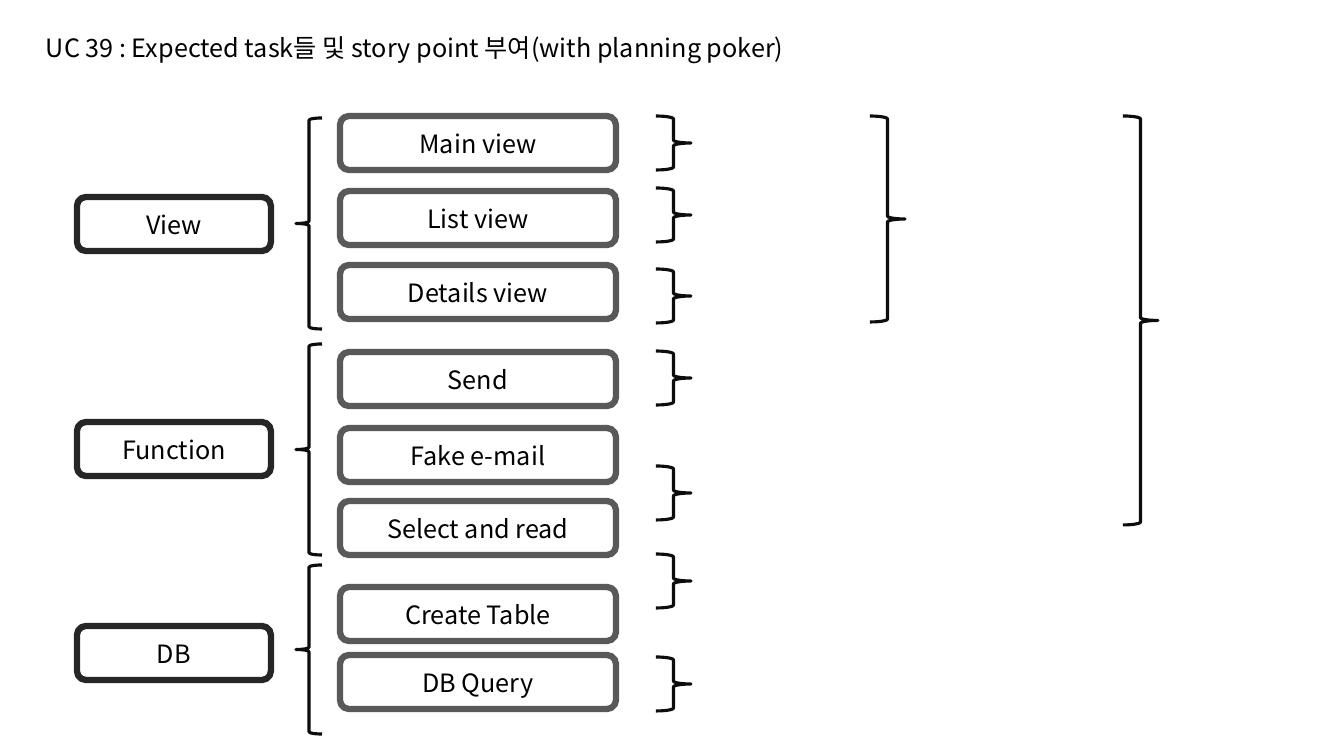
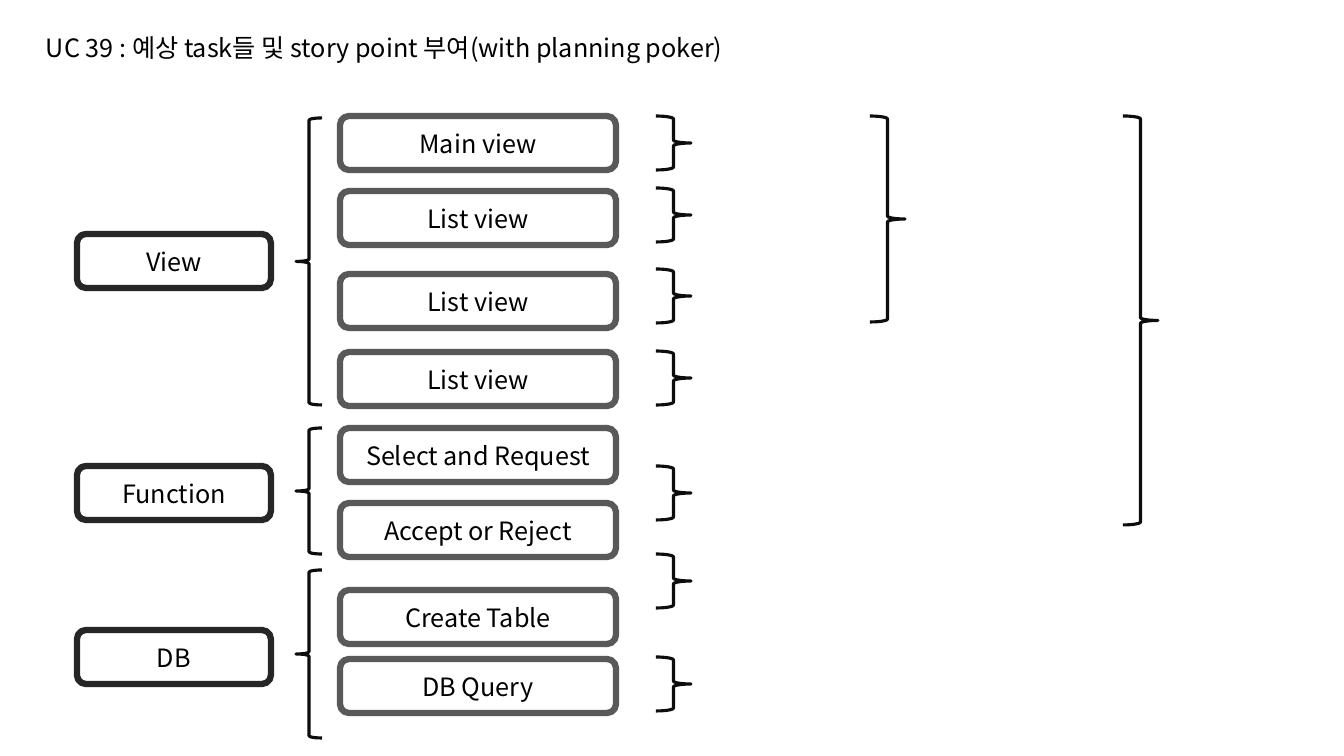
from lxml import etree
from pptx import Presentation
from pptx import util as u
from pptx.dml.color import RGBColor
from pptx.enum import shapes, text
from pptx.oxml.ns import qn

SCALE = 914400 / 100.8
BLACK = RGBColor(0x00, 0x00, 0x00)
GROUP_LINE = RGBColor(0x26, 0x26, 0x26)
TASK_LINE = RGBColor(0x59, 0x59, 0x59)
BRACE_LINE = RGBColor(0x0D, 0x0D, 0x0D)
FONT = "Noto Sans CJK KR"
ROW_HEIGHT = 54
KIND = shapes.MSO_SHAPE


def px(*lengths):
    """Turn pixel lengths into EMU."""
    return [u.Emu(round(length * SCALE)) for length in lengths]


class Board:
    """Holds the deck, its style and the current page."""

    text_style = {"size": u.Pt(18), "name": FONT}

    def __init__(self):
        """Start a wide deck."""
        self.deck = Presentation()
        self.deck.slide_width, self.deck.slide_height = px(1344, 756)

    def add_page(self, title):
        """Add a blank page with its title."""
        self.page = self.deck.slides.add_slide(self.deck.slide_layouts[6])
        box = self.page.shapes.add_textbox(*px(36, 27, 868, 40))
        box.text_frame.word_wrap = True
        box.text_frame.auto_size = text.MSO_AUTO_SIZE.SHAPE_TO_FIT_TEXT
        self.add_words(box, title, text.PP_ALIGN.LEFT)

    def add_words(self, box, words, align):
        """Put one styled paragraph in a box."""
        para = box.text_frame.paragraphs[0]
        para.alignment = align
        span = para.add_run()
        span.text = words
        for key, value in self.text_style.items():
            setattr(span.font, key, value)
        span.font.color.rgb = BLACK
        east_asian = etree.SubElement(span.font._element, qn("a:ea"))
        east_asian.set("typeface", FONT)

    def outline(self, kind, place, color, weight):
        """Add an unfilled shape with a plain line."""
        shape = self.page.shapes.add_shape(kind, *px(*place))
        shape.shadow.inherit = False
        shape.fill.background()
        shape.line.color.rgb = color
        shape.line.width = u.Pt(weight)
        return shape

    def label(self, words, left, top, width, color):
        """Add a rounded box with centred text."""
        place = (left, top, width, ROW_HEIGHT)
        box = self.outline(KIND.ROUNDED_RECTANGLE, place, color, 4.5)
        box.text_frame.vertical_anchor = text.MSO_ANCHOR.MIDDLE
        box.text_frame.word_wrap = True
        self.add_words(box, words, text.PP_ALIGN.CENTER)

    def group(self, words, top, brace_top, brace_height):
        """Add a group box and the brace over its tasks."""
        self.label(words, 77, top, 194, GROUP_LINE)
        self.outline(KIND.LEFT_BRACE, (296, brace_top, 26, brace_height), BRACE_LINE, 2.25)

    def task(self, words, top):
        """Add a task box."""
        self.label(words, 340, top, 276, TASK_LINE)

    def point_brace(self, left, top, height=ROW_HEIGHT):
        """Add a brace that opens a space for story points."""
        self.outline(KIND.RIGHT_BRACE, (left, top, 35, height), BRACE_LINE, 2.25)


POINT_TOPS = (116, 188, 269, 351, 466, 554, 657)
PAGES = [
    {
        "title": "UC 39 : Expected task들 및 story point 부여(with planning poker)",
        "groups": [("View", 197, 118, 211), ("Function", 422, 344, 211),
                   ("DB", 626, 565, 169)],
        "tasks": [("Main view", 116), ("List view", 191), ("Details view", 265),
                  ("Send", 352), ("Fake e-mail", 428), ("Select and read", 501),
                  ("Create Table", 587), ("DB Query", 655)],
    },
    {
        "title": "UC 39 : 예상 task들 및 story point 부여(with planning poker)",
        "groups": [("View", 234, 118, 287), ("Function", 466, 428, 126),
                   ("DB", 630, 570, 168)],
        "tasks": [("Main view", 116), ("List view", 191), ("List view", 274),
                  ("List view", 352), ("Select and Request", 428),
                  ("Accept or Reject", 503), ("Create Table", 590), ("DB Query", 659)],
    },
]

board = Board()
for content in PAGES:
    board.add_page(content["title"])
    for group in content["groups"]:
        board.group(*group)
    for task in content["tasks"]:
        board.task(*task)
    for point_top in POINT_TOPS:
        board.point_brace(656, point_top)
    board.point_brace(870, 116, 206)
    board.point_brace(1123, 116, 409)

board.deck.save("out.pptx")
